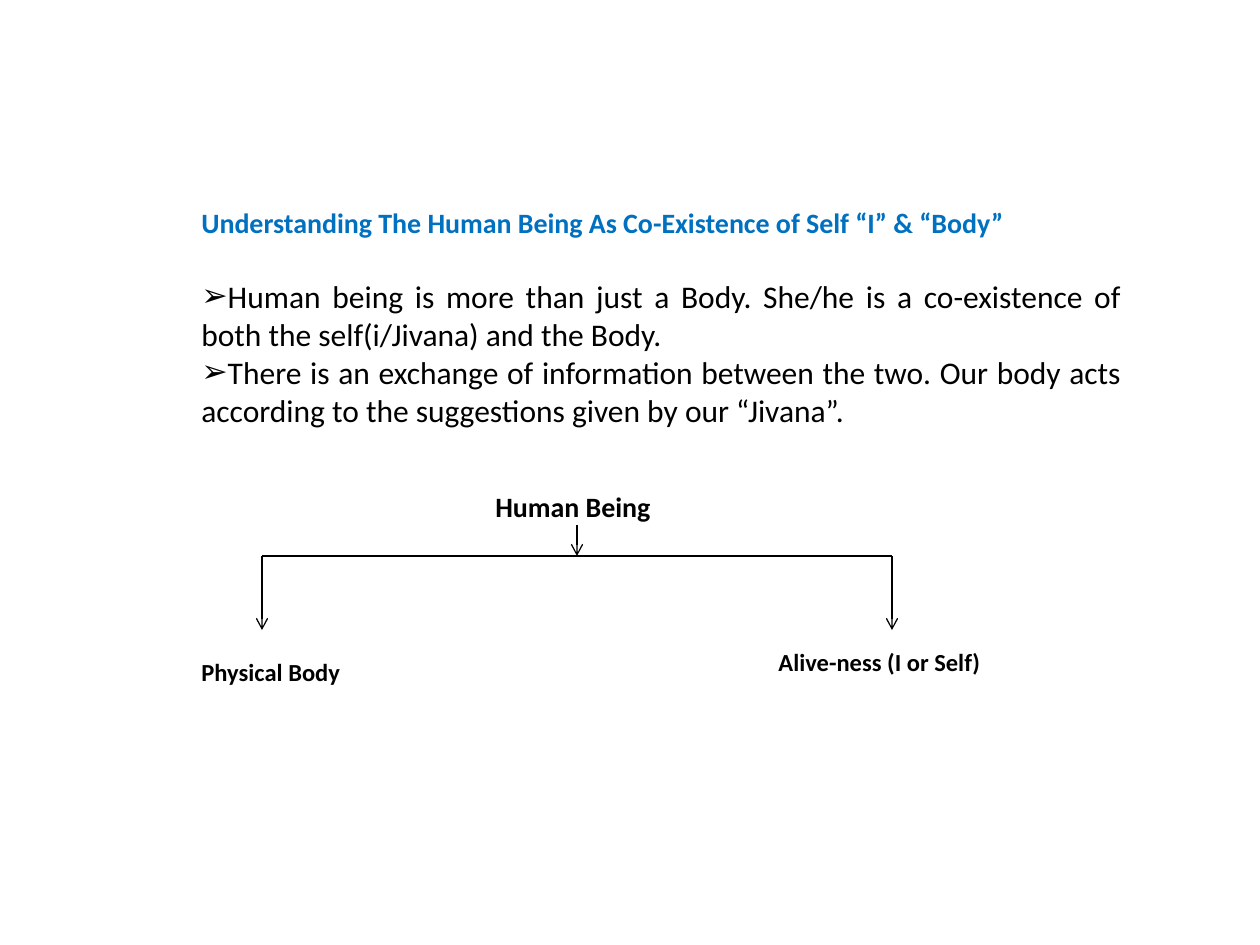
from dataclasses import dataclass

from lxml.etree import SubElement
from pptx import Presentation
from pptx.dml.color import RGBColor
from pptx.enum.shapes import MSO_CONNECTOR
from pptx.enum.text import MSO_AUTO_SIZE, PP_ALIGN
from pptx.oxml.ns import qn
from pptx.slide import Slide
from pptx.util import Emu, Pt

SCALE = 914400 / 126
FONT = "Calibri"
COLORS = {"title": "0070C0", "ink": "000000"}


@dataclass(frozen=True)
class Line:
    text: str
    size: int
    color: str = "ink"
    bold: bool = True
    bullet: str = ""
    space_before: int = 0
    align: PP_ALIGN = PP_ALIGN.LEFT


@dataclass(frozen=True)
class TextBlock:
    left: int
    top: int
    width: int
    height: int
    lines: tuple[Line, ...]


@dataclass(frozen=True)
class Connection:
    start: tuple[int, int]
    end: tuple[int, int]
    arrow: bool = True


LEFT_X, CENTER_X, RIGHT_X = 262, 577, 892
STEM_Y, BRANCH_Y, TIP_Y = 525, 556, 630

TEXT_BLOCKS = (
    TextBlock(189, 199, 945, 242, (
        Line("Understanding The Human Being As Co-Existence of Self “I” & “Body”",
             16, "title", align=PP_ALIGN.JUSTIFY),
        Line("Human being is more than just a Body. She/he is a co-existence of "
             "both the self(i/Jivana) and the Body.",
             18, bold=False, bullet="➢", space_before=22, align=PP_ALIGN.JUSTIFY),
        Line("There is an exchange of information between the two. Our body acts "
             "according to the suggestions given by our “Jivana”.",
             18, bold=False, bullet="➢", align=PP_ALIGN.JUSTIFY),
    )),
    TextBlock(483, 483, 305, 47, (Line("Human Being", 16),)),
    TextBlock(189, 651, 273, 43, (Line("Physical Body", 14),)),
    TextBlock(766, 641, 273, 43, (Line("Alive-ness (I or Self)", 14),)),
)

CONNECTIONS = (
    Connection((LEFT_X, BRANCH_Y), (RIGHT_X, BRANCH_Y), arrow=False),
    Connection((CENTER_X, STEM_Y), (CENTER_X, BRANCH_Y)),
    Connection((LEFT_X, BRANCH_Y), (LEFT_X, TIP_Y)),
    Connection((RIGHT_X, BRANCH_Y), (RIGHT_X, TIP_Y)),
)


def px(value: int) -> Emu:
    """Turn pixels into EMU."""
    return Emu(round(value * SCALE))


def add_text_block(slide: Slide, block: TextBlock) -> None:
    """Draw a wrapping text box with one paragraph for each line."""
    shape = slide.shapes.add_textbox(
        px(block.left), px(block.top), px(block.width), px(block.height))
    frame = shape.text_frame
    frame.word_wrap = True
    frame.auto_size = MSO_AUTO_SIZE.SHAPE_TO_FIT_TEXT
    for index, line in enumerate(block.lines):
        paragraph = frame.add_paragraph() if index else frame.paragraphs[0]
        paragraph.alignment = line.align
        paragraph.space_before = Pt(line.space_before)
        if line.bullet:
            properties = paragraph._p.get_or_add_pPr()
            SubElement(properties, qn("a:buFont"), typeface=FONT)
            SubElement(properties, qn("a:buChar"), char=line.bullet)
        run = paragraph.add_run()
        run.text = line.text
        run.font.name = FONT
        run.font.size = Pt(line.size)
        run.font.bold = line.bold
        run.font.color.rgb = RGBColor.from_string(COLORS[line.color])


def add_connection(slide: Slide, connection: Connection) -> None:
    """Draw a thin straight connector, with an open arrowhead if asked."""
    connector = slide.shapes.add_connector(
        MSO_CONNECTOR.STRAIGHT,
        *map(px, connection.start), *map(px, connection.end))
    connector.line.width = Pt(0.75)
    connector.line.color.rgb = RGBColor.from_string(COLORS["ink"])
    if connection.arrow:
        SubElement(connector.line._get_or_add_ln(), qn("a:tailEnd"), type="arrow")
    SubElement(connector._element.spPr, qn("a:effectLst"))


def main() -> None:
    """Build the slide and save it."""
    presentation = Presentation()
    presentation.slide_width, presentation.slide_height = px(1260), px(945)
    slide = presentation.slides.add_slide(presentation.slide_layouts[6])
    for block in TEXT_BLOCKS:
        add_text_block(slide, block)
    for connection in CONNECTIONS:
        add_connection(slide, connection)
    presentation.save("out.pptx")


if __name__ == "__main__":
    main()
